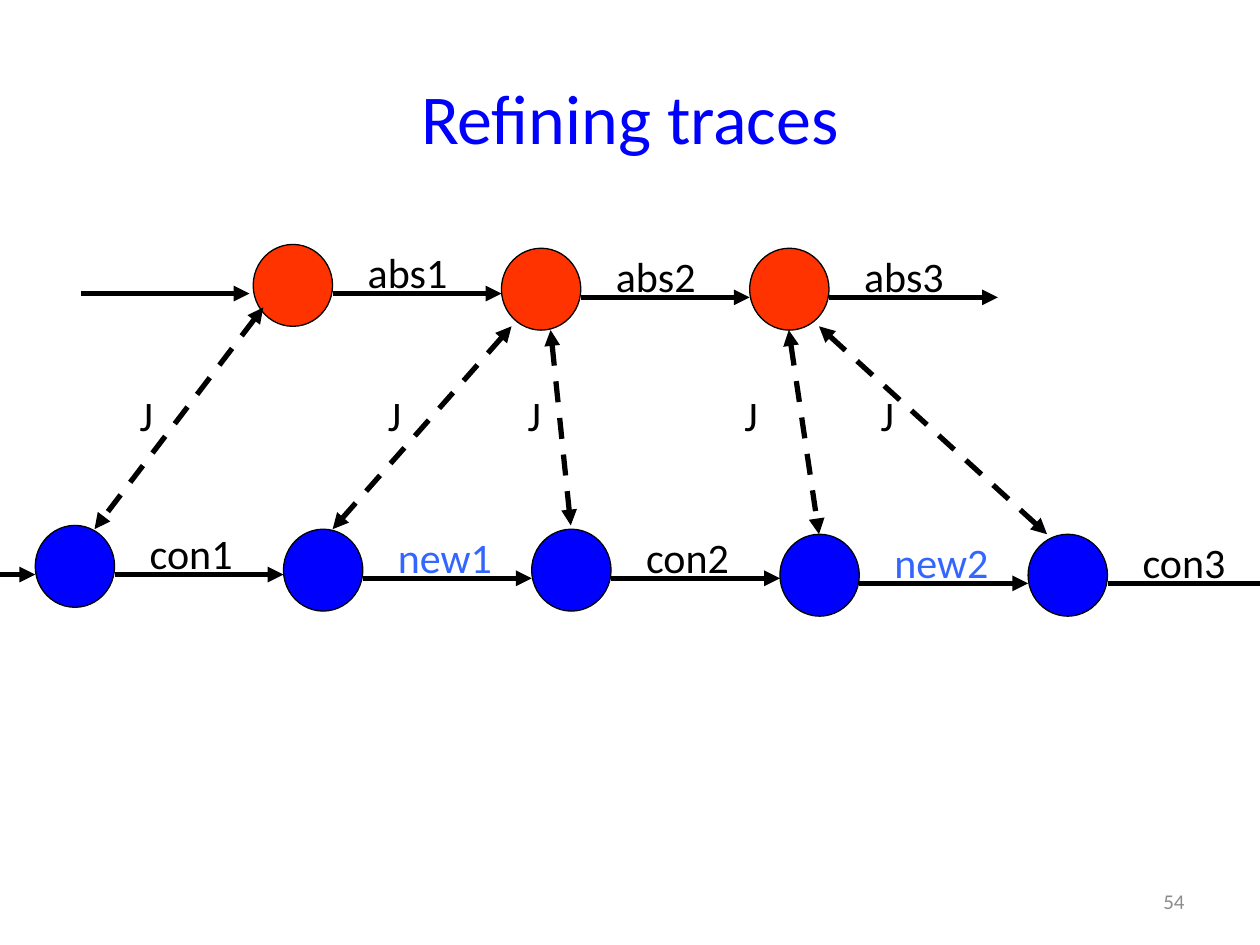
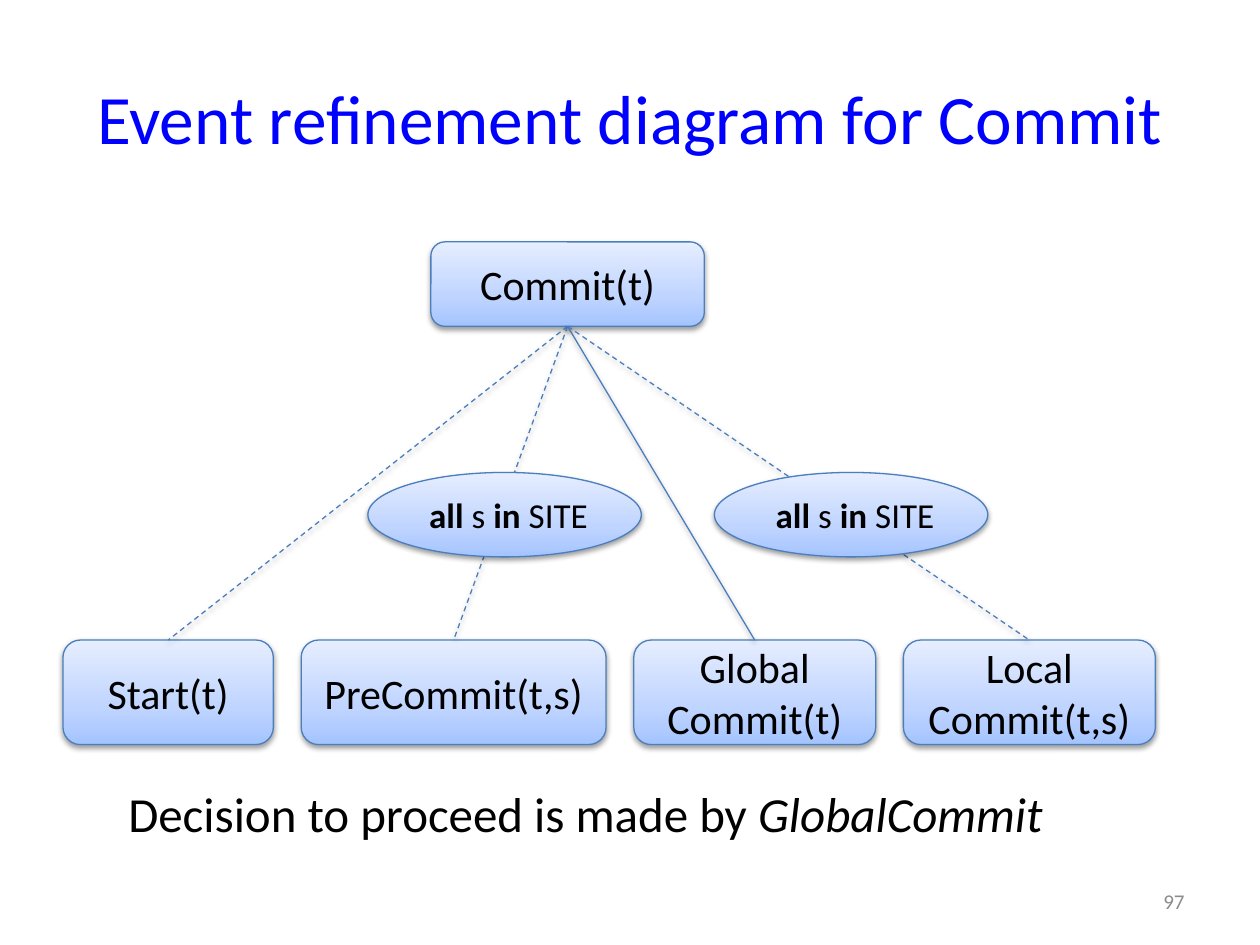
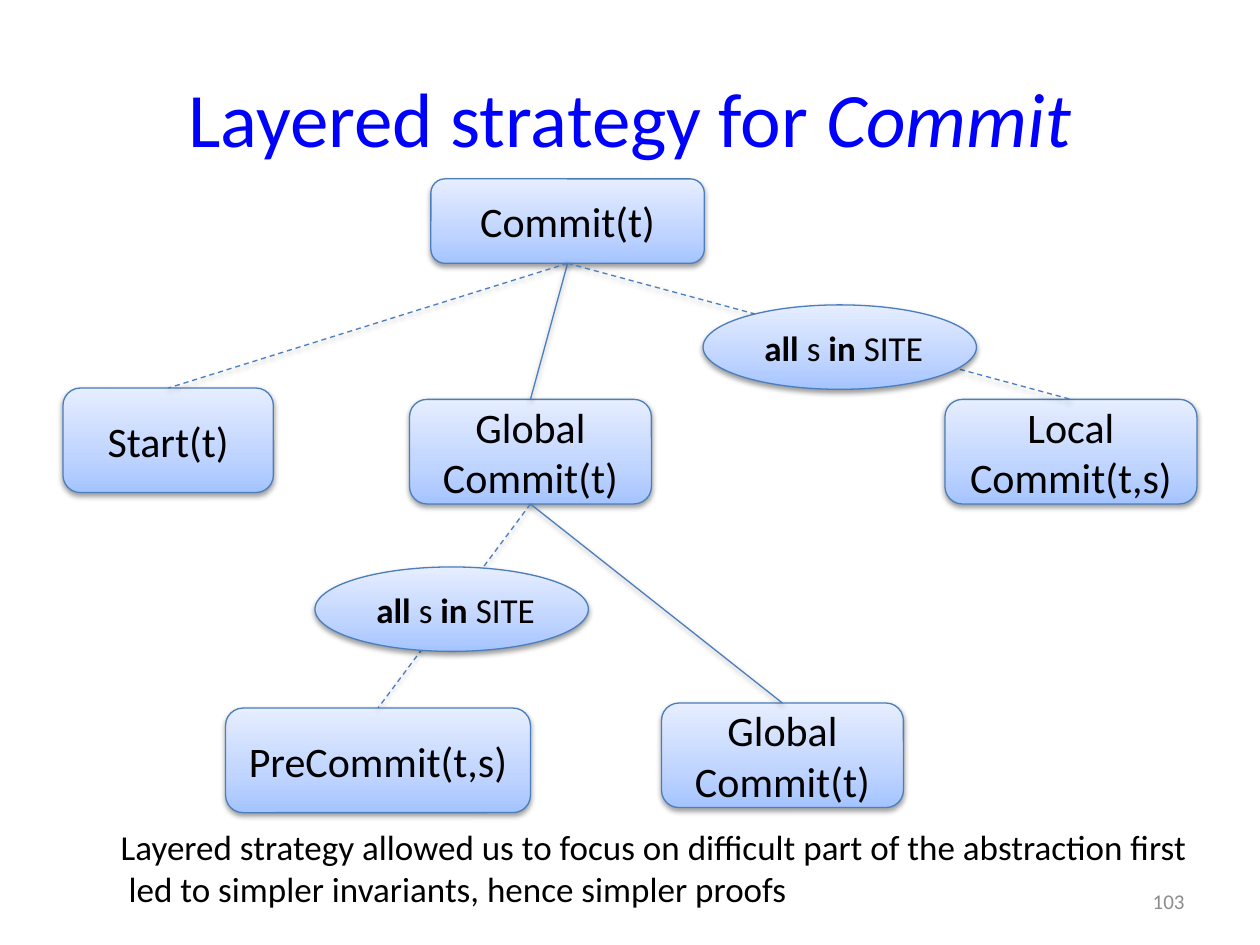
from copy import deepcopy
from dataclasses import dataclass

from lxml.etree import SubElement
from pptx import Presentation
from pptx.dml.color import RGBColor
from pptx.enum.dml import MSO_LINE
from pptx.enum.shapes import MSO_CONNECTOR, MSO_SHAPE
from pptx.enum.text import MSO_ANCHOR as ANCHOR, MSO_AUTO_SIZE, PP_ALIGN as ALIGN
from pptx.oxml.ns import qn
from pptx.util import Inches, Pt


@dataclass(frozen=True)
class Theme:
    font: str = "Calibri"
    title: str = "0000FF"
    text: str = "000000"
    muted: str = "8C8C8C"
    abstract: str = "FF3300"
    concrete: str = "0000FF"
    new_event: str = "3366FF"
    edge: str = "4B7EBC"
    gradient: tuple = ((0, "A4C4FF"), (0.35, "BFD4FF"), (1, "E6EEFF"))
    title_size: float = 40
    long_title_size: float = 39.6
    large_title_size: float = 44
    label_size: float = 24
    small_size: float = 20
    note_size: float = 28
    number_size: float = 12
    thin: float = 0.75
    thick: float = 3


THEME = Theme()
rgb = RGBColor.from_string


def inches(*values):
    return [Inches(v) for v in values]


class Deck:
    """Holds the theme and the current slide."""

    def __init__(self, theme):
        self.theme = theme
        self.prs = Presentation()
        self.prs.slide_width, self.prs.slide_height = inches(10, 7.5)

    def slide(self, title, number, title_size):
        t = self.theme
        self.s = self.prs.slides.add_slide(self.prs.slide_layouts[6])
        self.text(title, (0.5, 0.3, 9, 1.25), title_size, t.title,
                  ALIGN.CENTER, ANCHOR.MIDDLE, wrap=True)
        self.text(number, (7.17, 6.95, 2.33, 0.4), t.number_size, t.muted,
                  ALIGN.RIGHT, ANCHOR.MIDDLE, wrap=True)

    def set_text(self, tf, content, size, color, align):
        """Content is a string, or a list of paragraphs made of (text, style) runs."""
        paragraphs = [[(content, "")]] if isinstance(content, str) else content
        for i, runs in enumerate(paragraphs):
            p = tf.add_paragraph() if i else tf.paragraphs[0]
            p.alignment = align
            p.font.name, p.font.size = self.theme.font, Pt(size)
            p.font.color.rgb = rgb(color)
            for text, style in runs:
                r = p.add_run()
                r.text = text
                if style == "b":
                    r.font.bold = True
                elif style == "i":
                    r.font.italic = True

    def text(self, content, at, size, color=None, align=ALIGN.LEFT,
             anchor=ANCHOR.TOP, wrap=False):
        tf = self.s.shapes.add_textbox(*inches(*at)).text_frame
        tf.word_wrap, tf.vertical_anchor = wrap, anchor
        if not wrap:
            tf.auto_size = MSO_AUTO_SIZE.SHAPE_TO_FIT_TEXT
        self.set_text(tf, content, size, color or self.theme.text, align)

    def shape(self, kind, at, line):
        sp = self.s.shapes.add_shape(kind, *inches(*at))
        sp.shadow.inherit = False
        sp.line.color.rgb, sp.line.width = rgb(line), Pt(self.theme.thin)
        return sp

    def state(self, x, y, color):
        sp = self.shape(MSO_SHAPE.OVAL, (x, y, 0.63, 0.65), self.theme.text)
        sp.fill.solid()
        sp.fill.fore_color.rgb = rgb(color)

    def line(self, start, end, color, width, dashed=False, ends=()):
        cn = self.s.shapes.add_connector(MSO_CONNECTOR.STRAIGHT, *inches(*start, *end))
        cn.line.color.rgb, cn.line.width = rgb(color), Pt(width)
        if dashed:
            cn.line.dash_style = MSO_LINE.DASH
        for end_tag in ends:
            SubElement(cn._element.spPr.find(qn("a:ln")), qn(end_tag), type="triangle")
        SubElement(cn._element.spPr, qn("a:effectLst"))
        return cn

    def arrow(self, start, end):
        self.line(start, end, self.theme.text, self.theme.thick, ends=["a:tailEnd"])

    def relation(self, start, end):
        self.line(start, end, self.theme.text, self.theme.thick, True,
                  ["a:headEnd", "a:tailEnd"])

    def soft_shadow(self, sp):
        effects = sp._element.spPr.find(qn("a:effectLst"))
        shadow = SubElement(effects, qn("a:outerShdw"), blurRad="40000", dist="20000",
                            dir="5400000", rotWithShape="0")
        color = SubElement(shadow, qn("a:srgbClr"), val="000000")
        SubElement(color, qn("a:alpha"), val="38000")

    def node(self, kind, content, at, size):
        t = self.theme
        sp = self.shape(kind, at, t.edge)
        sp.fill.gradient()
        sp.fill.gradient_angle = 90
        stops = sp._element.spPr.find(".//" + qn("a:gsLst"))
        stops.append(deepcopy(stops[0]))
        for stop, (position, color) in zip(sp.fill.gradient_stops, t.gradient):
            stop.position, stop.color.rgb = position, rgb(color)
        self.soft_shadow(sp)
        tf = sp.text_frame
        tf.word_wrap, tf.vertical_anchor = True, ANCHOR.MIDDLE
        self.set_text(tf, content, size, t.text, ALIGN.CENTER)
        return sp

    def event(self, name, x, y):
        return self.node(MSO_SHAPE.ROUNDED_RECTANGLE, name, (x, y, *EVENT_SIZES[name]),
                         self.theme.label_size)

    def all_sites(self, x, y):
        runs = [(" all ", "b"), ("s ", ""), ("in ", "b"), ("SITE", "")]
        self.node(MSO_SHAPE.OVAL, [runs], (x, y, 2.17, 0.67), self.theme.small_size)

    def link(self, parent, child, dashed=True):
        cn = self.line((0, 0), (1, 1), self.theme.edge, self.theme.thin, dashed)
        cn.begin_connect(parent, 2)
        cn.end_connect(child, 0)
        self.soft_shadow(cn)


COMMIT, START, PRE = "Commit(t)", "Start(t)", "PreCommit(t,s)"
GLOBAL, LOCAL = "Global Commit(t)", "Local Commit(t,s)"
EVENT_SIZES = {COMMIT: (2.17, 0.67), START: (1.67, 0.83), PRE: (2.42, 0.83),
               GLOBAL: (1.92, 0.83), LOCAL: (2, 0.83)}
STATE_STEP, ARROW_LENGTH = 1.97, 1.34


def trace(deck, left, tops, names, color, entry_end):
    """A row of states, each followed by an arrow with its event name."""
    entry_y = tops[0] + 0.39
    deck.arrow((entry_end - ARROW_LENGTH, entry_y), (entry_end, entry_y))
    for i, (top, name) in enumerate(zip(tops, names)):
        x, y = left + i * STATE_STEP, top + 0.39
        deck.state(x, top, color)
        deck.arrow((x + 0.63, y), (x + 0.63 + ARROW_LENGTH, y))
        is_new = name.startswith("new")
        deck.text(name, (x + 0.81, top - 0.03, 0.96 if is_new else 0.86, 0.5),
                  THEME.label_size, THEME.new_event if is_new else THEME.text)


def refining_traces(deck):
    deck.slide("Refining traces", "54", THEME.title_size)
    trace(deck, 2.01, [1.94, 1.97, 1.97], ["abs1", "abs2", "abs3"],
          THEME.abstract, 1.98)
    trace(deck, 0.28, [4.17, 4.2, 4.2, 4.24, 4.24],
          ["con1", "new1", "con2", "new2", "con3"], THEME.concrete, 0.28)
    # Gluing relations: abstract end, concrete end, left of the label
    for start, end, label_x in [((2.09, 2.44), (0.75, 4.2), 1.01),
                                ((4.06, 2.59), (2.64, 4.2), 2.98),
                                ((4.37, 2.62), (4.53, 4.17), 4.09),
                                ((6.26, 2.62), (6.5, 4.24), 5.81),
                                ((6.5, 2.59), (8.31, 4.24), 6.89)]:
        deck.relation(start, end)
        deck.text("J", (label_x, 3.04, 0.37, 0.5), THEME.label_size)


def event_refinement(deck):
    deck.slide("Event refinement diagram for Commit", "97", THEME.long_title_size)
    root = deck.event(COMMIT, 3.42, 1.92)
    for name, x in [(START, 0.5), (PRE, 2.39), (GLOBAL, 5.03), (LOCAL, 7.17)]:
        deck.link(root, deck.event(name, x, 5.08), dashed=name != GLOBAL)
    for x in (2.92, 5.67):
        deck.all_sites(x, 3.75)
    deck.text([[("Decision to proceed is made by ", ""), ("GlobalCommit", "i")]],
              (0.92, 6.17, 7.72, 0.57), THEME.note_size)


def layered_strategy(deck):
    deck.slide([[("Layered strategy for ", ""), ("Commit", "i")]], "103",
               THEME.large_title_size)
    # First layer
    root = deck.event(COMMIT, 3.42, 1.42)
    middle = deck.event(GLOBAL, 3.25, 3.17)
    deck.link(root, middle, dashed=False)
    deck.link(root, deck.event(START, 0.5, 3.08))
    deck.link(root, deck.event(LOCAL, 7.5, 3.17))
    deck.all_sites(5.58, 2.42)
    # Second layer
    deck.link(middle, deck.event(PRE, 1.79, 5.62))
    deck.link(middle, deck.event(GLOBAL, 5.25, 5.58), dashed=False)
    deck.all_sites(2.5, 4.5)
    deck.text([[("Layered strategy allowed us to focus on difficult part of the "
                 "abstraction first", "")],
               [(" led to simpler invariants, hence simpler proofs", "")]],
              (0.86, 6.5, 8.73, 0.77), THEME.small_size)


def main():
    deck = Deck(THEME)
    refining_traces(deck)
    event_refinement(deck)
    layered_strategy(deck)
    deck.prs.save("out.pptx")


if __name__ == "__main__":
    main()
